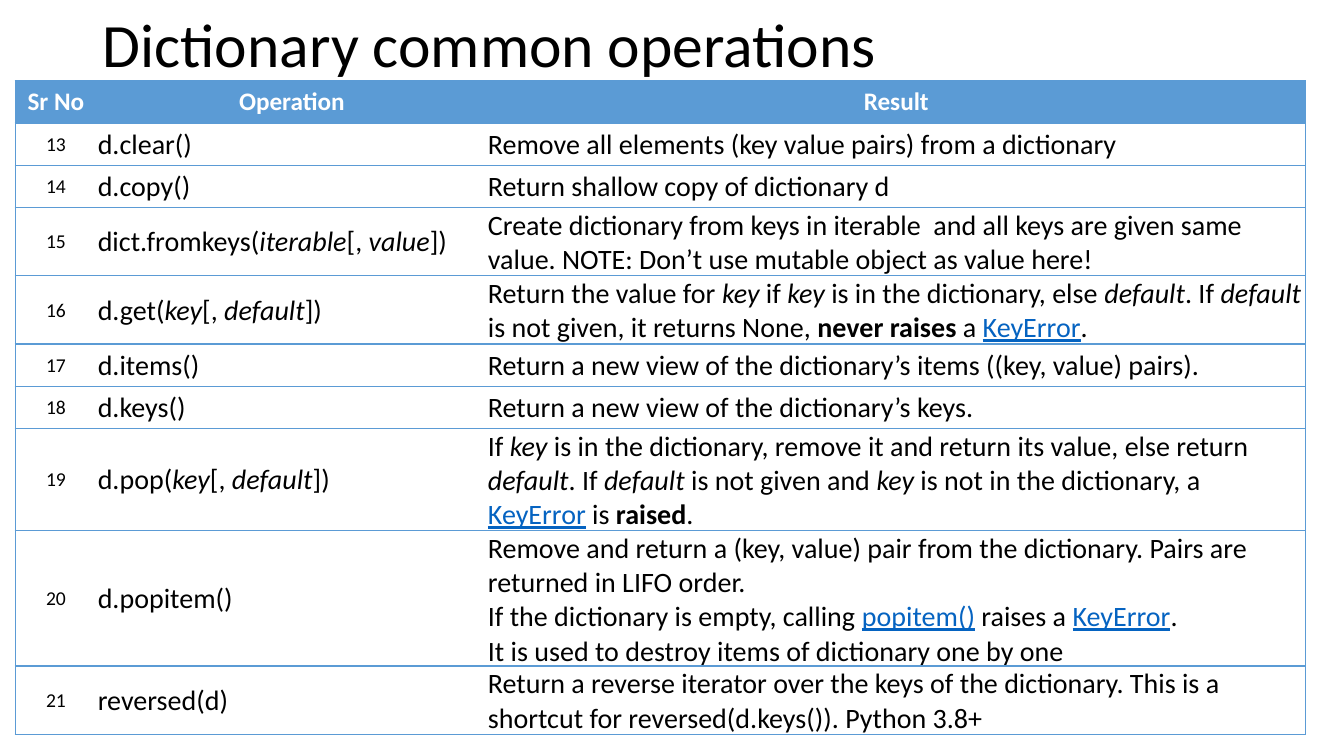
from dataclasses import dataclass

from lxml import etree
from pptx import Presentation
from pptx.dml.color import RGBColor
from pptx.enum.text import MSO_ANCHOR, PP_ALIGN
from pptx.oxml.ns import qn
from pptx.util import Inches, Pt

MIDDLE = MSO_ANCHOR.MIDDLE
LEFT, CENTER = PP_ALIGN.LEFT, PP_ALIGN.CENTER


@dataclass(frozen=True)
class Theme:
    font: str = "Calibri"
    blue: str = "5B9BD5"
    white: str = "FFFFFF"
    black: str = "000000"
    link: str = "0563C1"
    title_size: int = 44
    header_size: int = 18
    number_size: int = 14
    body_size: int = 20
    border_width: int = 1


theme = Theme()

# Marked runs stand between bars: i = italic, b = bold, link = underlined blue
HEADER = ("Sr No", "Operation", "Result")
FIRST_NUMBER = 13
OPERATIONS = [
    ("d.clear()", "Remove all elements (key value pairs) from a dictionary"),
    ("d.copy()", "Return shallow copy of dictionary d"),
    ("dict.fromkeys(|i:iterable|[, |i:value|])",
     "Create dictionary from keys in iterable  and all keys are given same value. "
     "NOTE: Don’t use mutable object as value here!"),
    ("d.get(|i:key|[, |i:default|])",
     "Return the value for |i:key| if |i:key| is in the dictionary, else |i:default|. "
     "If |i:default| is not given, it returns None, |b:never raises| a |link:KeyError|."),
    ("d.items()", "Return a new view of the dictionary’s items ((key, value) pairs)."),
    ("d.keys()", "Return a new view of the dictionary’s keys."),
    ("d.pop(|i:key|[, |i:default|])",
     "If |i:key| is in the dictionary, remove it and return its value, else return "
     "|i:default|. If |i:default| is not given and |i:key| is not in the dictionary, "
     "a |link:KeyError| is |b:raised|."),
    ("d.popitem()",
     "Remove and return a (key, value) pair from the dictionary. "
     "Pairs are returned in LIFO order.\n"
     "If the dictionary is empty, calling |link:popitem()| raises a |link:KeyError|.\n"
     "It is used to destroy items of dictionary one by one"),
    ("reversed(d)",
     "Return a reverse iterator over the keys of the dictionary. "
     "This is a shortcut for reversed(d.keys()). Python 3.8+"),
]


def write_text(text_frame, text, size, color, alignment=LEFT, bold=False):
    for index, line in enumerate(text.split("\n")):
        paragraph = text_frame.add_paragraph() if index else text_frame.paragraphs[0]
        paragraph.alignment = alignment
        paragraph.font.name = theme.font
        paragraph.font.size = Pt(size)
        paragraph.font.bold = bold
        paragraph.font.color.rgb = RGBColor.from_string(color)
        for position, part in enumerate(line.split("|")):
            style, content = part.split(":", 1) if position % 2 else ("", part)
            run = paragraph.add_run()
            run.text = content
            if style == "i":
                run.font.italic = True
            elif style == "b":
                run.font.bold = True
            elif style == "link":
                run.font.underline = True
                run.font.color.rgb = RGBColor.from_string(theme.link)


def set_borders(cell, visible_sides):
    properties = cell._tc.get_or_add_tcPr()
    for side in "LRTB":
        line = etree.SubElement(properties, qn(f"a:ln{side}"), w=str(Pt(theme.border_width)))
        if side in visible_sides:
            fill = etree.SubElement(line, qn("a:solidFill"))
            etree.SubElement(fill, qn("a:srgbClr"), val=theme.blue)
        else:
            etree.SubElement(line, qn("a:noFill"))


presentation = Presentation()
presentation.slide_width = Inches(13.33)
presentation.slide_height = Inches(7.5)
slide = presentation.slides.add_slide(presentation.slide_layouts[6])

# Title
title = slide.shapes.add_textbox(Inches(0.92), Inches(0), Inches(11.5), Inches(0.94))
title.text_frame.word_wrap = True
title.text_frame.vertical_anchor = MIDDLE
write_text(title.text_frame, "Dictionary common operations", theme.title_size, theme.black)
title.text_frame.paragraphs[0].line_spacing = 0.9

# Table grid
column_widths = (0.81, 3.87, 8.12)
row_height = 0.42
rows = [HEADER] + [
    (str(number), *operation) for number, operation in enumerate(OPERATIONS, FIRST_NUMBER)
]
table = slide.shapes.add_table(
    len(rows), len(HEADER), Inches(0.15), Inches(0.8),
    Inches(sum(column_widths)), Inches(row_height * len(rows)),
).table
table.horz_banding = False
for column, width in zip(table.columns, column_widths):
    column.width = Inches(width)
for row in table.rows:
    row.height = Inches(row_height)

# Table cells
column_sizes = (theme.number_size, theme.body_size, theme.body_size)
column_alignments = (CENTER, LEFT, LEFT)
column_borders = ("LTB", "TB", "RTB")
for row_index, texts in enumerate(rows):
    is_header = row_index == 0
    for column_index, text in enumerate(texts):
        cell = table.cell(row_index, column_index)
        cell.vertical_anchor = MIDDLE
        cell.margin_left = cell.margin_right = cell.margin_top = Inches(0.01)
        cell.margin_bottom = Inches(0)
        set_borders(cell, column_borders[column_index])
        cell.fill.solid()
        cell.fill.fore_color.rgb = RGBColor.from_string(theme.blue if is_header else theme.white)
        write_text(
            cell.text_frame, text,
            theme.header_size if is_header else column_sizes[column_index],
            theme.white if is_header else theme.black,
            CENTER if is_header else column_alignments[column_index],
            bold=is_header,
        )

presentation.save("out.pptx")
